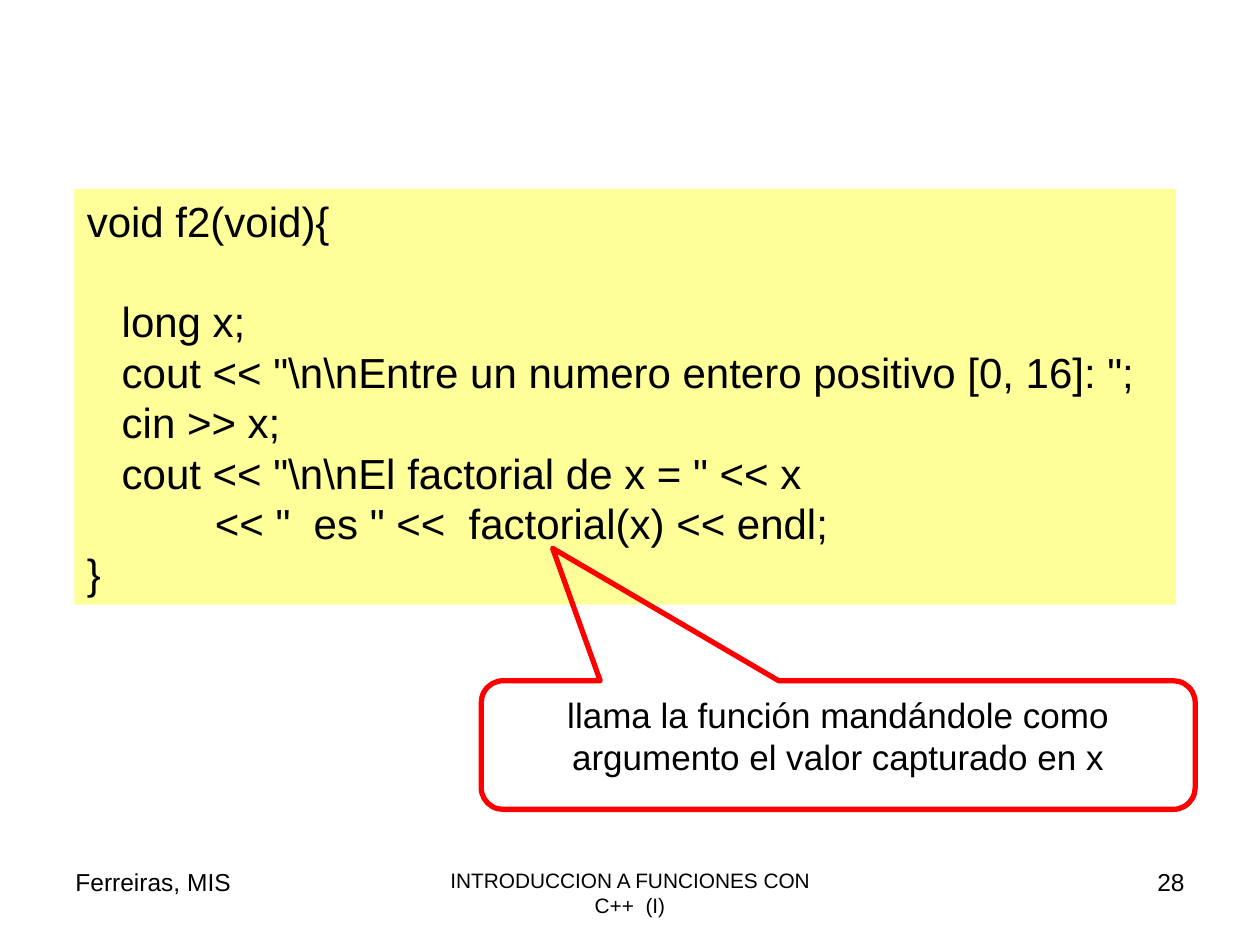
from pptx import Presentation
from pptx.dml.color import RGBColor as RGB
from pptx.enum.shapes import MSO_SHAPE as Shape
from pptx.enum.text import MSO_ANCHOR as Anchor, PP_ALIGN as Align
from pptx.util import Pt

COLORS = {"text": "000000", "code": "FFFF99", "edge": "FF0000"}
FONT = "Arial"
GAP = 28.8  # height of one line of code

CODE = r'''void f2(void){

   long x;
   cout << "\n\nEntre un numero entero positivo [0, 16]: ";
   cin >> x;
   cout << "\n\nEl factorial de x = " << x
           << "  es " <<  factorial(x) << endl;
}'''


def color(name):
    return RGB.from_string(COLORS[name])


def write(shape, lines, size, align=Align.LEFT):
    """Fill the shape with lines; an empty line becomes space before the next."""
    frame = shape.text_frame
    frame.word_wrap = True
    frame.vertical_anchor = Anchor.TOP
    para, gap = frame.paragraphs[0], 0
    for line in lines:
        if not line:
            gap += GAP
            continue
        if para.text:
            para = frame.add_paragraph()
        para.text = line
        para.alignment = align
        if gap:
            para.space_before = Pt(gap)
            gap = 0
        for key, value in {"name": FONT, "size": Pt(size)}.items():
            setattr(para.font, key, value)
        para.font.color.rgb = color("text")


def add_code(slide, box):
    panel = slide.shapes.add_shape(Shape.RECTANGLE, *map(Pt, box))
    panel.shadow.inherit = False
    panel.fill.solid()
    panel.fill.fore_color.rgb = color("code")
    panel.line.fill.background()
    write(panel, CODE.split("\n"), 24)


def add_callout(slide, box, text):
    bubble = slide.shapes.add_shape(Shape.ROUNDED_RECTANGULAR_CALLOUT, *map(Pt, box))
    for i, value in enumerate((-0.4, -1.53, 0.17)):
        bubble.adjustments[i] = value
    bubble.shadow.inherit = False
    bubble.fill.background()
    bubble.line.color.rgb = color("edge")
    bubble.line.width = Pt(3)
    write(bubble, [text], 20, Align.CENTER)


def add_footer(slide, box):
    left, top, width, height = box
    side, middle = 168, 228
    parts = (
        ("Ferreiras, MIS", 0, side, 14, Align.LEFT),
        ("INTRODUCCION A FUNCIONES CON C++  (I)", (width - middle) / 2, middle, 11.9, Align.CENTER),
        ("28", width - side, side, 14, Align.RIGHT),
    )
    for text, shift, wide, size, align in parts:
        area = slide.shapes.add_textbox(*map(Pt, (left + shift, top, wide, height)))
        write(area, [text], size, align)


def main():
    deck = Presentation()
    deck.slide_width, deck.slide_height = Pt(720), Pt(540)
    slide = deck.slides.add_slide(deck.slide_layouts[6])
    add_footer(slide, (36, 492, 648, 37.5))
    add_code(slide, (42.5, 108, 629.5, 237.6))
    add_callout(slide, (275, 389, 408, 73.5),
                "llama la función mandándole como argumento el valor capturado en x")
    deck.save("out.pptx")


if __name__ == "__main__":
    main()
